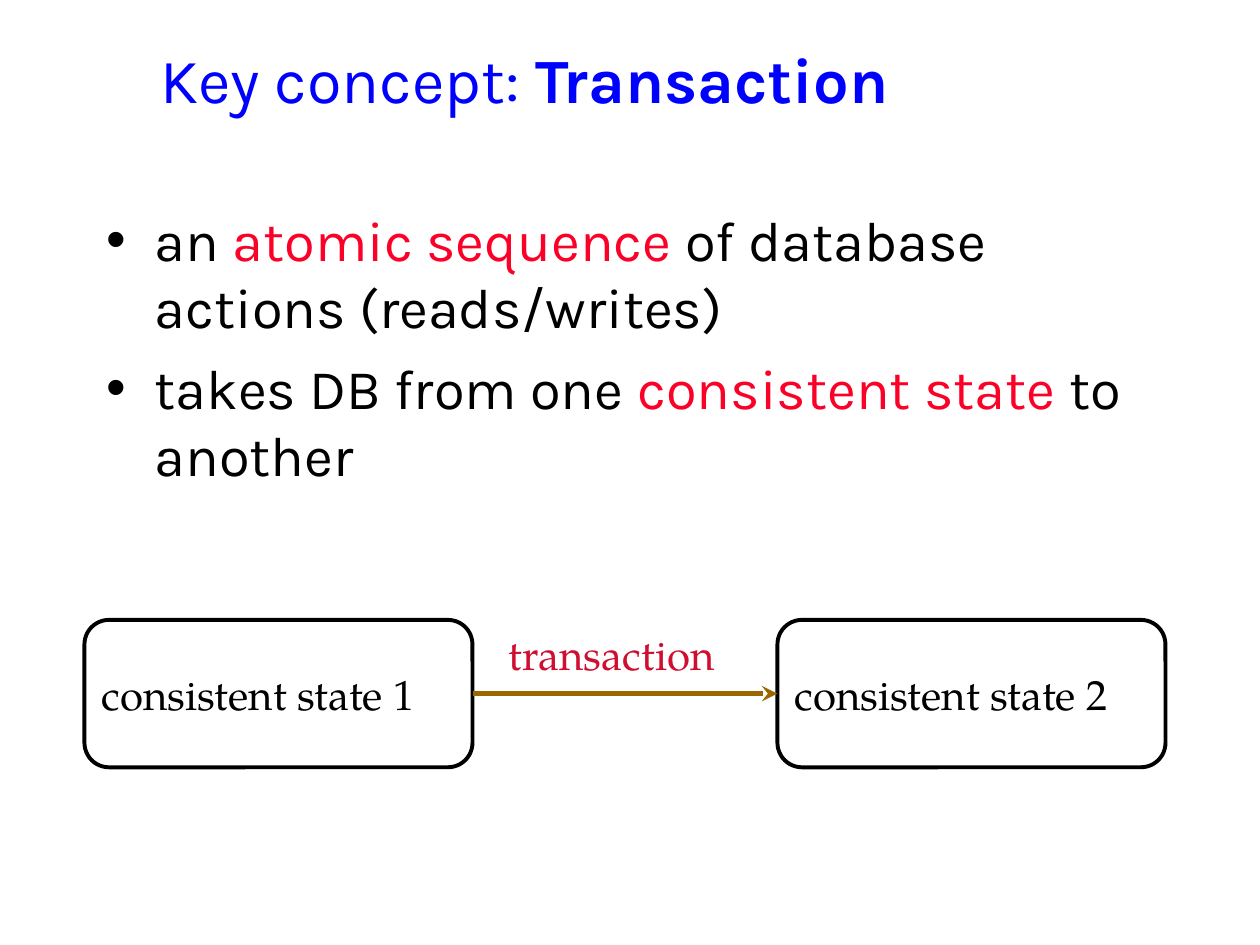
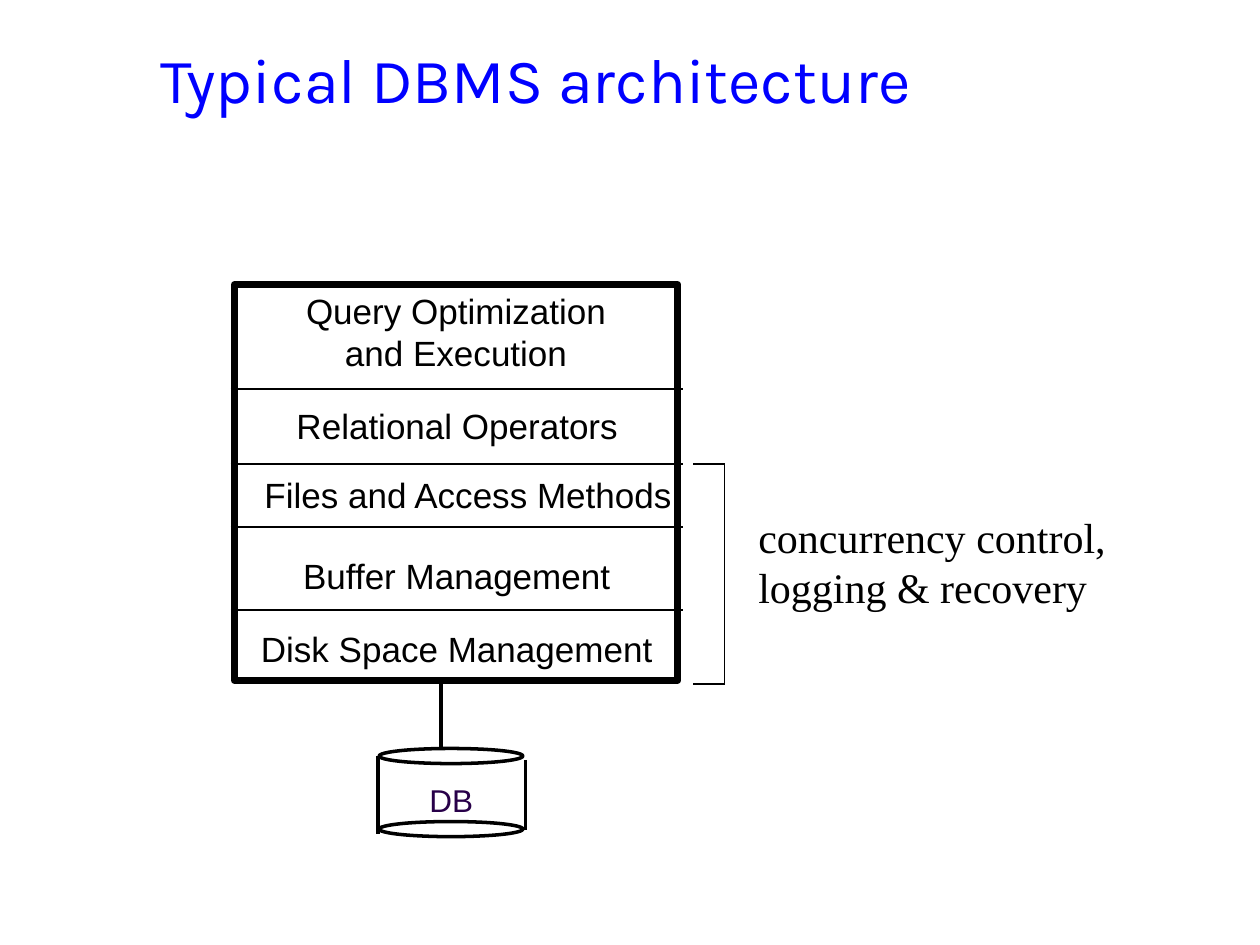
from lxml.etree import SubElement
from pptx import Presentation
from pptx.dml.color import RGBColor
from pptx.enum.shapes import MSO_CONNECTOR, MSO_SHAPE
from pptx.enum.text import MSO_ANCHOR, MSO_AUTO_SIZE, PP_ALIGN
from pptx.oxml.ns import qn
from pptx.util import Inches, Pt

BLACK = RGBColor(0x00, 0x00, 0x00)
TITLE_BLUE = RGBColor(0x00, 0x00, 0xFF)
KEYWORD_RED = RGBColor(0xFC, 0x01, 0x28)
LABEL_RED = RGBColor(0xCF, 0x0E, 0x30)
ARROW_BROWN = RGBColor(0x99, 0x66, 0x00)
DB_PURPLE = RGBColor(0x28, 0x00, 0x49)

HEADING_FONT = "Karla"
STATE_FONT = "TeX Gyre Pagella"
LAYER_FONT = "Arial"
NOTE_FONT = "Times New Roman"


def add_run(paragraph, text, font, size, color=BLACK, bold=False):
    run = paragraph.add_run()
    run.text = text
    run.font.name = font
    run.font.size = Pt(size)
    run.font.bold = bold
    run.font.color.rgb = color


def add_titled_slide(prs, *parts):
    slide = prs.slides.add_slide(prs.slide_layouts[5])
    title = slide.shapes.title
    title.left, title.top = Inches(1.17), Inches(0)
    title.width, title.height = Inches(8.5), Inches(1.25)
    frame = title.text_frame
    frame.auto_size = MSO_AUTO_SIZE.NONE
    frame.vertical_anchor = MSO_ANCHOR.MIDDLE
    heading = frame.paragraphs[0]
    heading.alignment = PP_ALIGN.LEFT
    for text, bold in parts:
        add_run(heading, text, HEADING_FONT, 36, TITLE_BLUE, bold)
    return slide


def add_label(slide, left, top, width, height, lines, font, size,
              color=BLACK, align=PP_ALIGN.LEFT):
    box = slide.shapes.add_textbox(Inches(left), Inches(top), Inches(width), Inches(height))
    frame = box.text_frame
    frame.word_wrap = False
    frame.auto_size = MSO_AUTO_SIZE.SHAPE_TO_FIT_TEXT
    for index, line in enumerate(lines):
        paragraph = frame.add_paragraph() if index else frame.paragraphs[0]
        paragraph.alignment = align
        add_run(paragraph, line, font, size, color)


def add_bullets(slide, bullets):
    box = slide.shapes.add_textbox(Inches(0.75), Inches(1.58), Inches(8.5), Inches(5.58))
    frame = box.text_frame
    frame.word_wrap = True
    for index, parts in enumerate(bullets):
        paragraph = frame.add_paragraph() if index else frame.paragraphs[0]
        if index:
            paragraph.space_before = Pt(8)
        properties = paragraph._p.get_or_add_pPr()
        properties.set("marL", str(Inches(0.38)))
        properties.set("indent", str(-Inches(0.38)))
        SubElement(properties, qn("a:buFont"), typeface=LAYER_FONT)
        SubElement(properties, qn("a:buChar"), char="•")
        for text, color in parts:
            add_run(paragraph, text, HEADING_FONT, 32, color)


def add_outline(slide, kind, left, top, width, height, weight):
    outline = slide.shapes.add_shape(
        kind, Inches(left), Inches(top), Inches(width), Inches(height))
    outline.shadow.inherit = False
    outline.fill.background()
    outline.line.color.rgb = BLACK
    outline.line.width = Pt(weight)
    return outline


def add_line(slide, x1, y1, x2, y2, weight, color=BLACK, head=None):
    line = slide.shapes.add_connector(
        MSO_CONNECTOR.STRAIGHT, Inches(x1), Inches(y1), Inches(x2), Inches(y2))
    line.line.color.rgb = color
    line.line.width = Pt(weight)
    properties = line._element.spPr
    if head:
        SubElement(properties.find(qn("a:ln")), qn("a:tailEnd"), type=head)
    SubElement(properties, qn("a:effectLst"))
    return line


def add_state(slide, left, text):
    state = add_outline(slide, MSO_SHAPE.ROUNDED_RECTANGLE, left, 4.92, 3.08, 1.17, 2.25)
    add_label(slide, left + 0.04, 5.26, 2.94, 0.5, [text], STATE_FONT, 24)
    return state


def add_layers(slide):
    layers = [
        (2.33, 2.25, 2.58, 0.77, ["Query Optimization", "and Execution"]),
        (2.25, 3.16, 2.76, 0.43, ["Relational Operators"]),
        (1.99, 3.71, 3.45, 0.43, ["Files and Access Methods"]),
        (2.3, 4.35, 2.65, 0.43, ["Buffer Management"]),
        (1.97, 4.93, 3.31, 0.43, ["Disk Space Management"]),
    ]
    for left, top, width, height, lines in layers:
        add_label(slide, left, top, width, height, lines, LAYER_FONT, 20,
                  align=PP_ALIGN.CENTER)
    add_outline(slide, MSO_SHAPE.RECTANGLE, 1.86, 2.26, 3.52, 3.14, 4)
    for divider in (3.09, 3.68, 4.18, 4.84):
        add_line(slide, 1.83, divider, 5.42, divider, 1)


def add_database(slide):
    for rim in (5.94, 6.52):
        add_outline(slide, MSO_SHAPE.OVAL, 3.01, rim, 1.14, 0.12, 2)
    add_line(slide, 3, 6, 3, 6.62, 2)
    add_line(slide, 4.17, 6.03, 4.17, 6.59, 2)
    add_label(slide, 3.31, 6.15, 0.55, 0.4, ["DB"], LAYER_FONT, 18, DB_PURPLE)
    add_line(slide, 3.5, 5.43, 3.5, 5.93, 2)


def add_bracket(slide, left, right, top, bottom):
    for edge in (top, bottom):
        add_line(slide, left, edge, right, edge, 1)
    add_line(slide, right, top, right, bottom, 1)


def build_transaction_slide(prs):
    slide = add_titled_slide(prs, ("Key concept:", False), (" Transaction", True))
    add_bullets(slide, [
        [("an ", BLACK), ("atomic sequence", KEYWORD_RED),
         (" of database actions (reads/writes)", BLACK)],
        [("takes DB from one ", BLACK), ("consistent state", KEYWORD_RED),
         (" to another", BLACK)],
    ])
    before = add_state(slide, 0.67, "consistent state 1")
    after = add_state(slide, 6.17, "consistent state 2")
    transition = add_line(slide, 3.75, 5.5, 6.17, 5.5, 3, ARROW_BROWN, "stealth")
    transition.begin_connect(before, 3)
    transition.end_connect(after, 1)
    add_label(slide, 3.94, 4.94, 1.97, 0.5, ["transaction"], STATE_FONT, 24, LABEL_RED)


def build_architecture_slide(prs):
    slide = add_titled_slide(prs, ("Typical DBMS architecture", False))
    add_layers(slide)
    add_database(slide)
    add_bracket(slide, 5.5, 5.75, 3.68, 5.43)
    add_label(slide, 5.92, 4.01, 2.96, 0.9,
              ["concurrency control,", "logging & recovery"], NOTE_FONT, 24)


def main():
    prs = Presentation()
    prs.slide_width, prs.slide_height = Inches(10), Inches(7.5)
    build_transaction_slide(prs)
    build_architecture_slide(prs)
    prs.save("out.pptx")


if __name__ == "__main__":
    main()
